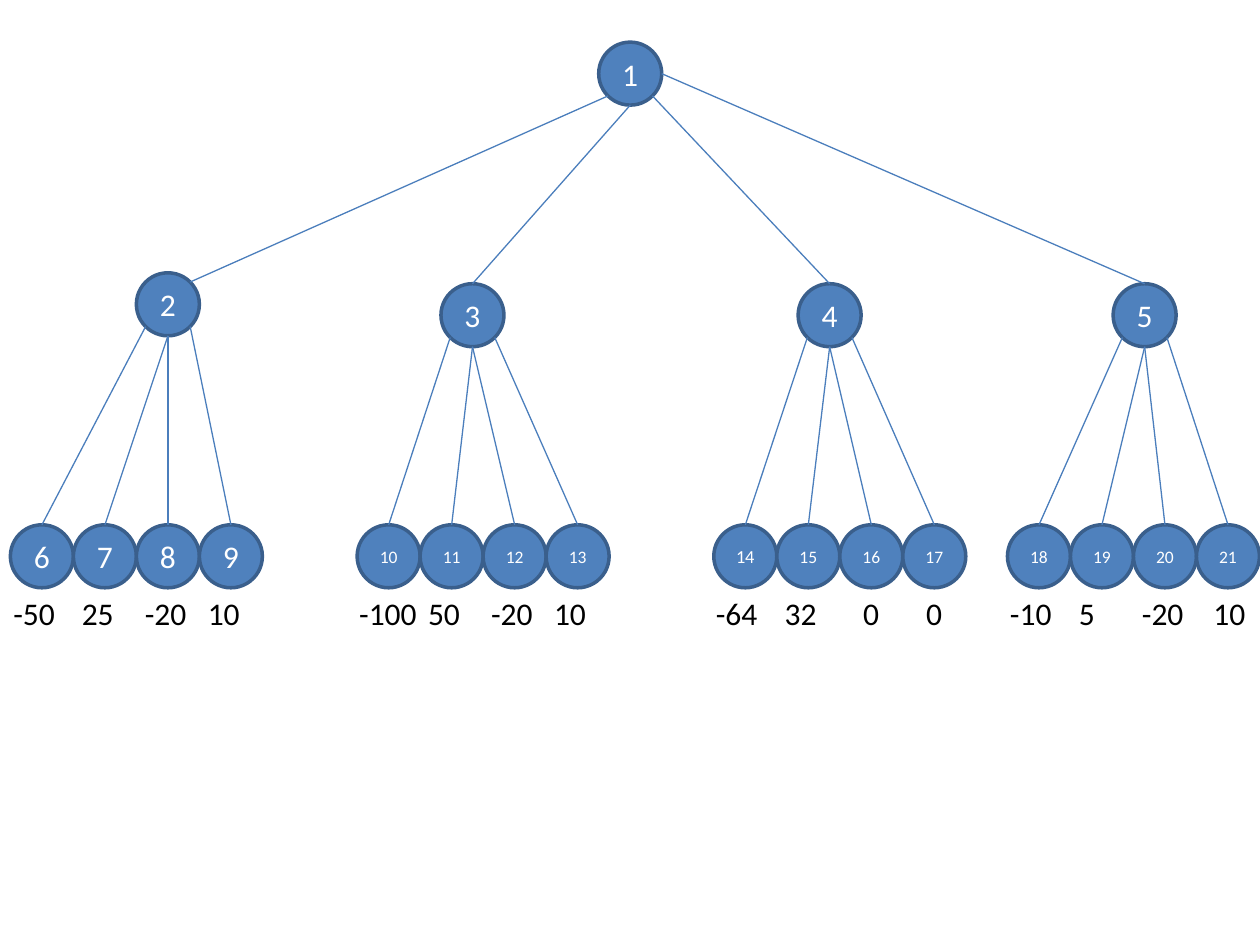
"""Build a slide with a three-level tree of numbered nodes and leaf values."""
from math import cos, pi, sin

from lxml.etree import SubElement
from pptx import Presentation
from pptx.dml.color import RGBColor
from pptx.enum.shapes import MSO_CONNECTOR as Connector, MSO_SHAPE as Shape
from pptx.enum.text import MSO_ANCHOR as Anchor, MSO_AUTO_SIZE as AutoSize, PP_ALIGN as Align
from pptx.oxml.ns import qn
from pptx.util import Cm, Pt

COLORS = {"node": "4F81BD", "outline": "3A5F8C", "edge": "4B7EBC", "label": "FFFFFF", "value": "000000"}
FONT = "Calibri"
NODE = 1.27
LEAF_TOP = 10.58
VALUE_TOP = 11.85
VALUE_HEIGHT = 1.02
TOP, BOTTOM_LEFT, BOTTOM, BOTTOM_RIGHT, RIGHT, TOP_RIGHT = 0, 3, 4, 5, 6, 7
LEAF_SITES = (BOTTOM_LEFT, BOTTOM, BOTTOM, BOTTOM_RIGHT)

ROOT = (12.07, 0.85)
BRANCHES = [
    {"at": (2.75, 5.5), "sites": (BOTTOM_LEFT, TOP_RIGHT), "leaves": 0.21,
     "values": [("-50", 0.02), ("25", 1.4), ("-20", 2.67), ("10", 3.94)]},
    {"at": (8.89, 5.72), "sites": (BOTTOM, TOP), "leaves": 7.2,
     "values": [("-100", 6.99), ("50", 8.38), ("-20", 9.65), ("10", 10.92)]},
    {"at": (16.09, 5.72), "sites": (BOTTOM_RIGHT, TOP), "leaves": 14.39,
     "values": [("-64", 14.18), ("32", 15.57), ("0", 17.15), ("0", 18.42)]},
    {"at": (22.44, 5.72), "sites": (RIGHT, TOP), "leaves": 20.31,
     "values": [("-10", 20.11), ("5", 21.5), ("-20", 22.77), ("10", 24.21)]},
]
SIZES = {14: 10.5}

deck = Presentation()
deck.slide_width, deck.slide_height = Cm(25.4), Cm(19.05)
page = deck.slides.add_slide(deck.slide_layouts[6])


def color(name):
    return RGBColor.from_string(COLORS[name])


def write(shape, text, size, ink):
    para = shape.text_frame.paragraphs[0]
    para.text = text
    font = para.runs[0].font
    font.name, font.size, font.color.rgb = FONT, Pt(size), color(ink)
    return para


def add_node(number, left, top):
    node = page.shapes.add_shape(Shape.OVAL, Cm(left), Cm(top), Cm(NODE), Cm(NODE))
    node.shadow.inherit = False
    node.fill.solid()
    node.fill.fore_color.rgb = color("node")
    node.line.color.rgb = color("outline")
    node.line.width = Pt(2)
    node.text_frame.vertical_anchor = Anchor.MIDDLE
    size = 18 if number < 10 else SIZES.get(number, 10)
    write(node, str(number), size, "label").alignment = Align.CENTER
    return node


def site_point(node, site):
    angle = pi / 2 + site * pi / 4
    radius = node.width / 2
    return (round(node.left + radius + radius * cos(angle)),
            round(node.top + radius - radius * sin(angle)))


def add_edge(parent, child, parent_site, child_site):
    edge = page.shapes.add_connector(
        Connector.STRAIGHT, *site_point(parent, parent_site), *site_point(child, child_site))
    edge.line.color.rgb = color("edge")
    edge.line.width = Pt(0.75)
    SubElement(edge.element.spPr, qn("a:effectLst"))
    glue = edge.element.find(".//" + qn("p:cNvCxnSpPr"))
    for tag, node, site in (("a:stCxn", parent, parent_site), ("a:endCxn", child, child_site)):
        SubElement(glue, qn(tag), id=str(node.shape_id), idx=str(site))


def add_value(text, left):
    width = 0.51 + sum(0.21 if mark == "-" else 0.325 for mark in text)
    box = page.shapes.add_textbox(Cm(left), Cm(VALUE_TOP), Cm(width), Cm(VALUE_HEIGHT))
    box.text_frame.word_wrap = False
    box.text_frame.auto_size = AutoSize.SHAPE_TO_FIT_TEXT
    write(box, text, 18, "value")


root = add_node(1, *ROOT)
edges = []
for index, branch in enumerate(BRANCHES):
    parent = add_node(2 + index, *branch["at"])
    edges.append((root, parent, *branch["sites"]))
    for column, site in enumerate(LEAF_SITES):
        number = 6 + index * len(LEAF_SITES) + column
        leaf = add_node(number, branch["leaves"] + column * NODE, LEAF_TOP)
        edges.append((parent, leaf, site, TOP))
for edge in edges:
    add_edge(*edge)
for branch in BRANCHES:
    for text, left in branch["values"]:
        add_value(text, left)

deck.save("out.pptx")
